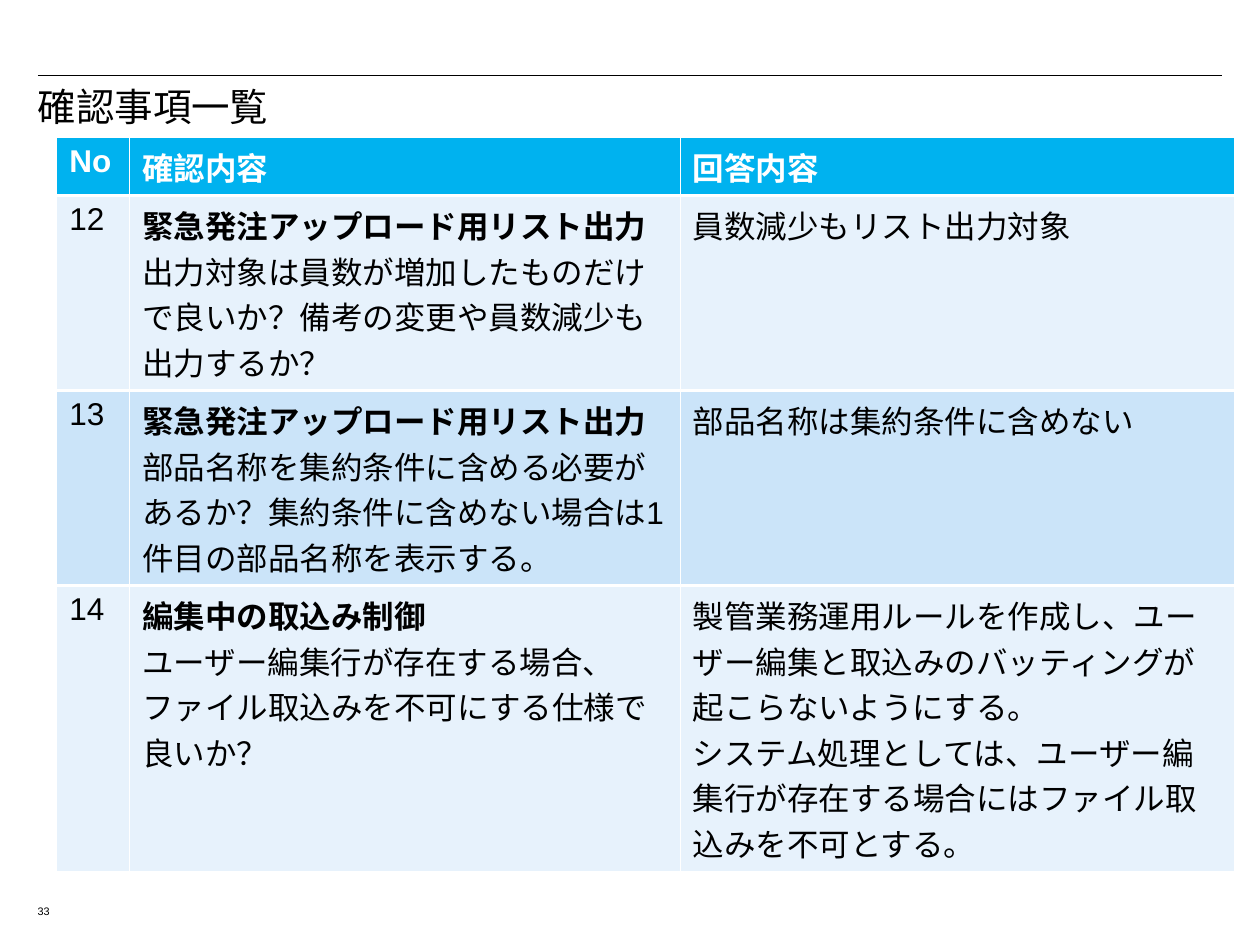
from lxml.etree import SubElement
from pptx import Presentation
from pptx.dml.color import RGBColor
from pptx.enum.shapes import MSO_CONNECTOR
from pptx.enum.text import MSO_ANCHOR, MSO_AUTO_SIZE, PP_ALIGN
from pptx.oxml import parse_xml
from pptx.oxml.ns import nsdecls, qn
from pptx.util import Inches, Pt

BLACK = RGBColor(0x00, 0x00, 0x00)
WHITE = RGBColor(0xFF, 0xFF, 0xFF)
HEADER_BLUE = RGBColor(0x00, 0xB2, 0xEF)
BANDS = (RGBColor(0xE7, 0xF2, 0xFC), RGBColor(0xCB, 0xE4, 0xF9))

HEADINGS = ("No", "確認内容", "回答内容")
# Number, subject, question, answer paragraphs
ITEMS = (
    ("12", "緊急発注アップロード用リスト出力",
     "出力対象は員数が増加したものだけで良いか？備考の変更や員数減少も出力するか？",
     ("員数減少もリスト出力対象",)),
    ("13", "緊急発注アップロード用リスト出力",
     "部品名称を集約条件に含める必要があるか？集約条件に含めない場合は1件目の部品名称を表示する。",
     ("部品名称は集約条件に含めない",)),
    ("14", "編集中の取込み制御",
     "ユーザー編集行が存在する場合、ファイル取込みを不可にする仕様で良いか？",
     ("製管業務運用ルールを作成し、ユーザー編集と取込みのバッティングが起こらないようにする。",
      "システム処理としては、ユーザー編集行が存在する場合にはファイル取込みを不可とする。")),
)
COLUMN_WIDTHS = (0.58, 4.37, 4.4)
ROW_HEIGHTS = (0.41, 1.3, 1.3, 1.9)


def write_text(frame, lines, size=18, color=BLACK, bold_lines=0, spacing=None):
    """Write one paragraph per line; the first bold_lines are bold."""
    frame.word_wrap = True
    for index, line in enumerate(lines):
        para = frame.paragraphs[0] if index == 0 else frame.add_paragraph()
        para.alignment = PP_ALIGN.LEFT
        if spacing:
            para.line_spacing = spacing
        span = para.add_run()
        span.text = line
        span.font.name = "Arial"
        span.font.size = Pt(size)
        span.font.bold = index < bold_lines
        span.font.color.rgb = color


def set_borders(cell):
    """Thin white verticals and heavier white horizontals."""
    properties = cell._tc.get_or_add_tcPr()
    for index, (side, width) in enumerate(
            (("L", 0.45), ("R", 0.45), ("T", 1.47), ("B", 1.47))):
        border = parse_xml(
            f'<a:ln{side} {nsdecls("a")} w="{Pt(width)}"><a:solidFill>'
            f'<a:srgbClr val="{WHITE}"/></a:solidFill></a:ln{side}>')
        properties.insert(index, border)


def fill_cell(cell, lines, fill, **text_format):
    write_text(cell.text_frame, lines, **text_format)
    cell.fill.solid()
    cell.fill.fore_color.rgb = fill
    set_borders(cell)


def add_heading(page, left, top, width):
    """Rule across the page with the title below it."""
    rule = page.shapes.add_connector(
        MSO_CONNECTOR.STRAIGHT, Inches(left + 0.1), Inches(top),
        Inches(left + width - 0.15), Inches(top))
    rule.line.color.rgb = BLACK
    rule.line.width = Pt(0.74)
    SubElement(rule._element.spPr, qn("a:effectLst"))

    title = page.shapes.title
    title.left, title.top = Inches(left), Inches(top + 0.05)
    title.width, title.height = Inches(width), Inches(0.57)
    frame = title.text_frame
    write_text(frame, ["確認事項一覧"], size=22, spacing=0.9)
    frame.vertical_anchor = MSO_ANCHOR.TOP
    frame.auto_size = MSO_AUTO_SIZE.NONE


def add_item_table(page, left, top):
    table = page.shapes.add_table(
        len(ROW_HEIGHTS), len(COLUMN_WIDTHS), Inches(left), Inches(top),
        Inches(sum(COLUMN_WIDTHS)), Inches(sum(ROW_HEIGHTS))).table
    for column, width in zip(table.columns, COLUMN_WIDTHS):
        column.width = Inches(width)
    for row, height in zip(table.rows, ROW_HEIGHTS):
        row.height = Inches(height)

    # Header row
    for cell, heading in zip(table.rows[0].cells, HEADINGS):
        fill_cell(cell, [heading], HEADER_BLUE, color=WHITE, bold_lines=1)

    # Banded item rows
    for index, (number, subject, question, answer) in enumerate(ITEMS):
        band = BANDS[index % 2]
        number_cell, question_cell, answer_cell = table.rows[index + 1].cells
        fill_cell(number_cell, [number], band)
        fill_cell(question_cell, [subject, question], band, bold_lines=1)
        fill_cell(answer_cell, answer, band)


def add_page_number(page, left, top):
    box = page.shapes.add_textbox(
        Inches(left), Inches(top), Inches(0.4), Inches(0.2))
    write_text(box.text_frame, ["33"], size=6.2, spacing=0.8)


deck = Presentation()
deck.slide_width, deck.slide_height = Inches(10), Inches(7.5)
page = deck.slides.add_slide(deck.slide_layouts[5])
page.background.fill.solid()
page.background.fill.fore_color.rgb = WHITE

add_heading(page, left=0.2, top=0.6, width=9.65)
add_item_table(page, left=0.45, top=1.09)
add_page_number(page, left=0.2, top=7.15)

deck.save("out.pptx")
